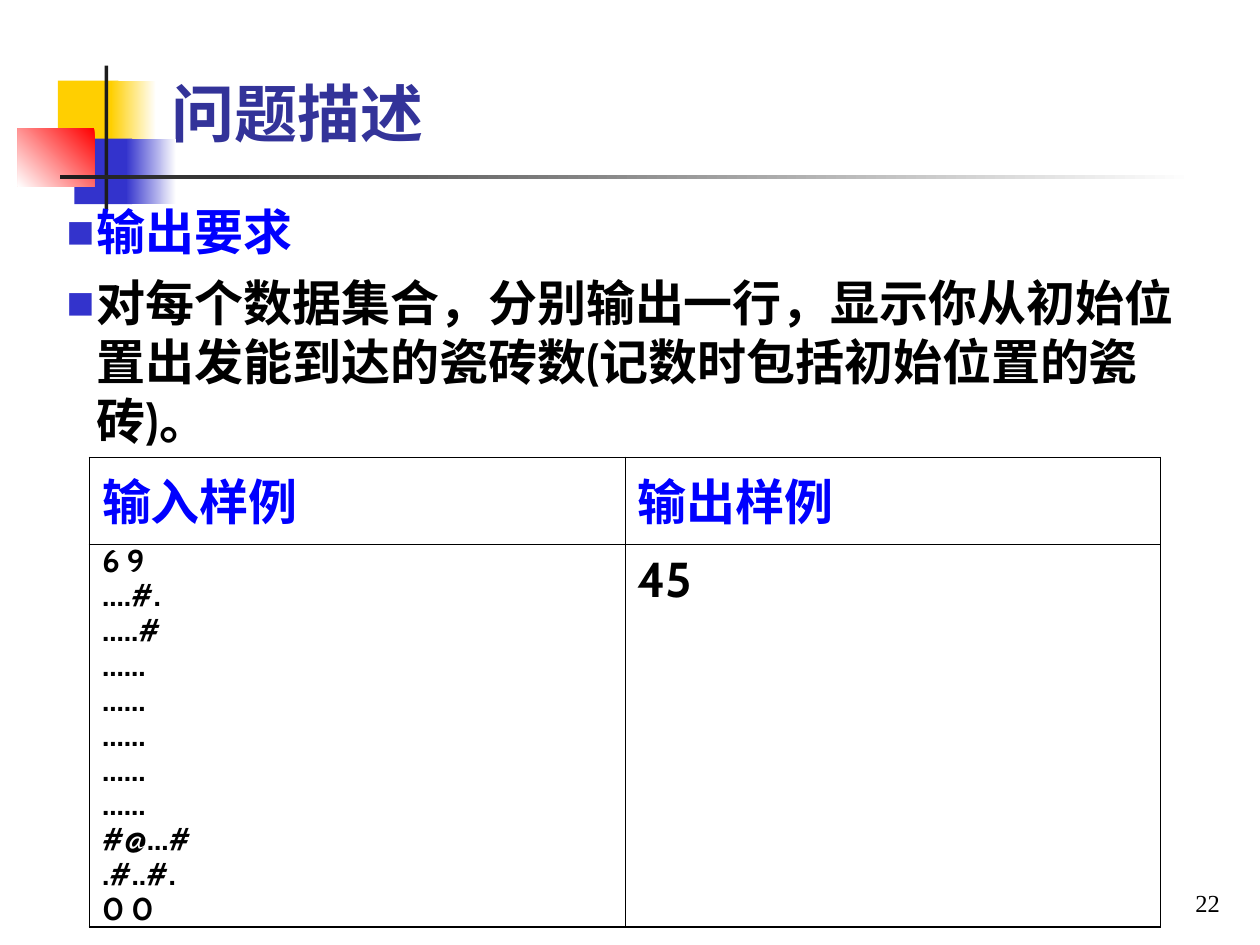
"""Build the problem description slide with its output rules and sample table."""
from lxml import etree
from pptx import Presentation, util as u
from pptx.dml import color
from pptx.enum import shapes, text
from pptx.oxml import ns

CJK = "Noto Sans CJK SC"
SERIF = "Times New Roman"
SANS = "Cabin"
BLUE, BLACK, INK = "0000FF", "000000", "1C1C1C"
SAMPLE_INPUT = ["6 9", "....#.", ".....#", *["......"] * 5, "#@...#", ".#..#.", "0 0"]


def px(n):
    """Turn px, 100 to the inch, into EMU."""
    return u.Emu(n * 9144)


def rgb(value):
    """Return the colour of a hex string."""
    return color.RGBColor.from_string(value)


def add_xml(parent, tag, **attrs):
    """Append a drawing element with attributes."""
    return etree.SubElement(parent, ns.qn(tag), **attrs)


def style(p, size, font, hue, bold=True):
    """Format every run of a paragraph."""
    for r in p.runs:
        r.font.size = u.Pt(size)
        r.font.name = font
        r.font.bold = bold
        r.font.color.rgb = rgb(hue)
        add_xml(r.font._element, "a:ea", typeface=CJK)


def add_block(s, box, start, end=None, angle=180):
    """Add a plain or two-colour rectangle."""
    sp = s.shapes.add_shape(shapes.MSO_SHAPE.RECTANGLE, *map(px, box))
    sp.shadow.inherit = False
    sp.line.fill.background()
    if end is None:
        sp.fill.solid()
        sp.fill.fore_color.rgb = rgb(start)
        return
    sp.fill.gradient()
    sp.fill.gradient_angle = angle
    for stop, hue in zip(sp.fill.gradient_stops, (start, end)):
        stop.color.rgb = rgb(hue)


def add_ornament(s, left, top):
    """Add the coloured blocks and crossing rules from a top left corner."""
    blocks = [
        ((32, 12, 48, 52), "FFCF01"),
        ((74, 12, 36, 52), "FFFFFF", "FFCF01"),
        ((45, 58, 46, 52), "3333CC"),
        ((86, 58, 40, 52), "FFFFFF", "3333CC"),
        ((0, 50, 61, 46), "FF0000", "FFFFFF", 225),
        ((69, 0, 3, 115), INK),
        ((34, 87, 900, 3), "FFFFFF", INK),
    ]
    for (x, y, w, h), *fill in blocks:
        add_block(s, (left + x, top + y, w, h), *fill)


def place_title(s, box, title):
    """Move and format the title placeholder."""
    sp = s.shapes.title
    sp.left, sp.top, sp.width, sp.height = map(px, box)
    tf = sp.text_frame
    tf.text = title
    tf.vertical_anchor = text.MSO_ANCHOR.BOTTOM
    tf.paragraphs[0].alignment = text.PP_ALIGN.LEFT
    style(tf.paragraphs[0], 36, SERIF, "333399")


def add_bullet(p):
    """Give a paragraph a small square bullet with a hanging indent."""
    pr = p._p.get_or_add_pPr()
    pr.set("marL", str(px(24)))
    pr.set("indent", str(px(-24)))
    add_xml(add_xml(pr, "a:buClr"), "a:srgbClr", val="3333CC")
    add_xml(pr, "a:buSzPct", val="60000")
    add_xml(pr, "a:buFont", typeface=SANS)
    add_xml(pr, "a:buChar", char="■")


def add_body(s, box, items):
    """Add bulleted paragraphs, each with its own colour."""
    tf = s.shapes.add_textbox(*map(px, box)).text_frame
    tf.word_wrap = True
    tf.text = "\n".join(line for line, _ in items)
    for i, (p, (_, hue)) in enumerate(zip(tf.paragraphs, items)):
        if i:
            p.space_before = u.Pt(7)
        add_bullet(p)
        style(p, 28, SANS, hue)


def set_borders(cell, row, col):
    """Draw thick outer and thin inner borders of a two by two table."""
    pr = cell._tc.get_or_add_tcPr()
    outer = {"L": col == 0, "R": col == 1, "T": row == 0, "B": row == 1}
    for side, thick in outer.items():
        ln = add_xml(pr, f"a:ln{side}", w=str(u.Pt(1.08 if thick else 0.45)))
        add_xml(add_xml(ln, "a:solidFill"), "a:srgbClr", val=BLACK)


def fill_cell(cell, lines, size, font, hue, spacing=None):
    """Write and format the lines of one cell."""
    cell.margin_left = cell.margin_right = px(10)
    cell.margin_top = cell.margin_bottom = px(5)
    tf = cell.text_frame
    tf.text = "\n".join(lines)
    for i, p in enumerate(tf.paragraphs):
        if spacing:
            p.line_spacing = spacing
        if i:
            p.space_before = u.Pt(4.5)
        style(p, size, font, hue)


def add_samples(s, box, head_height):
    """Add the table of sample input and output."""
    tbl = s.shapes.add_table(2, 2, *map(px, box)).table
    tbl.first_row = tbl.horz_banding = False
    tbl.rows[0].height = px(head_height)
    tbl.rows[1].height = px(box[3] - head_height)
    contents = [
        [(["输入样例"], 28, CJK, BLUE), (["输出样例"], 28, CJK, BLUE)],
        [(SAMPLE_INPUT, 18, SANS, BLACK, 0.7), (["45"], 28, SANS, BLACK)],
    ]
    for row, cells in enumerate(contents):
        for col, content in enumerate(cells):
            cell = tbl.cell(row, col)
            fill_cell(cell, *content)
            set_borders(cell, row, col)
            cell.fill.background()


def add_number(s, box, number):
    """Add the page number at the lower right."""
    tf = s.shapes.add_textbox(*map(px, box)).text_frame
    tf.word_wrap = True
    tf.vertical_anchor = text.MSO_ANCHOR.BOTTOM
    tf.text = number
    p = tf.paragraphs[0]
    p.alignment = text.PP_ALIGN.RIGHT
    style(p, 14, SERIF, BLACK, bold=False)


def main():
    """Build and save the slide."""
    prs = Presentation()
    prs.slide_width, prs.slide_height = px(1000), px(750)
    s = prs.slides.add_slide(prs.slide_layouts[5])
    add_ornament(s, 14, 52)
    place_title(s, (126, 9, 852, 115), "问题描述")
    add_body(s, (43, 155, 933, 216), [
        ("输出要求", BLUE),
        ("对每个数据集合，分别输出一行，显示你从初始位置出发能到达的瓷砖数"
         "(记数时包括初始位置的瓷砖)。", BLACK),
    ])
    add_samples(s, (71, 363, 850, 373), 69)
    add_number(s, (770, 683, 208, 50), "22")
    prs.save("out.pptx")


if __name__ == "__main__":
    main()
